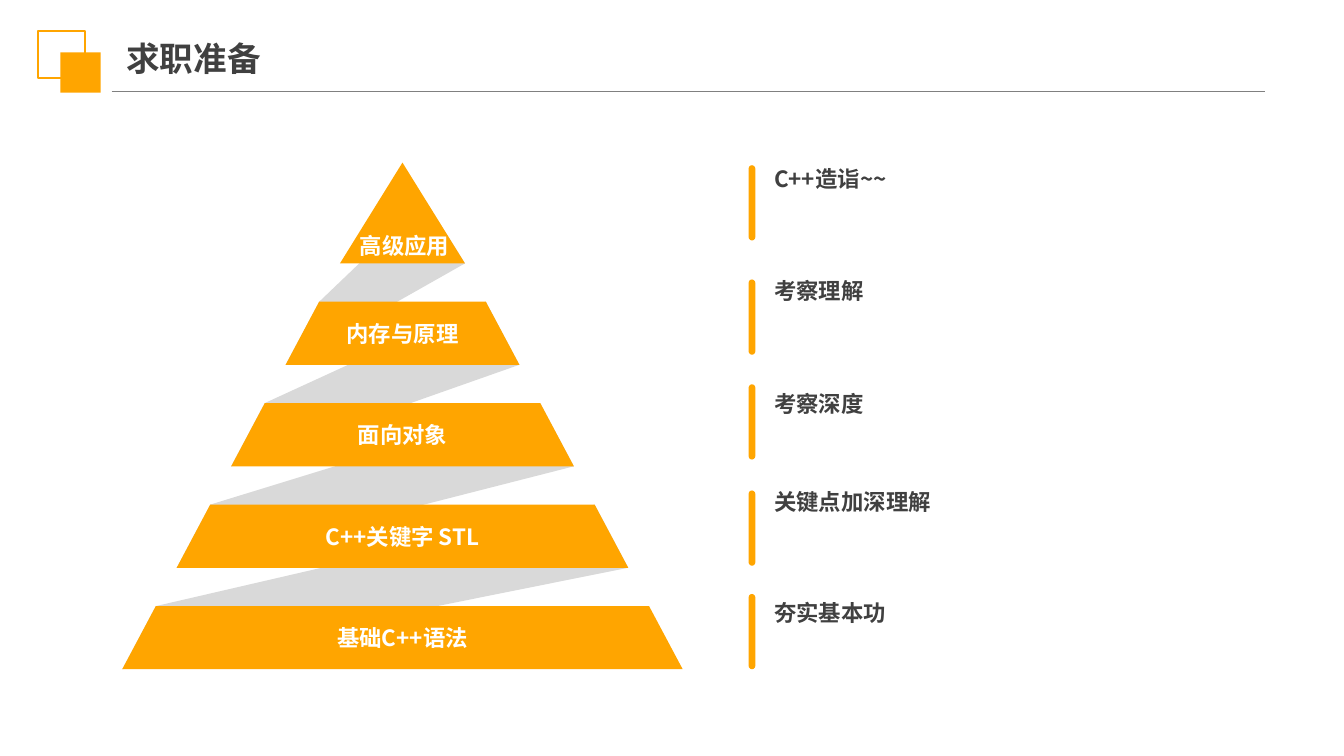
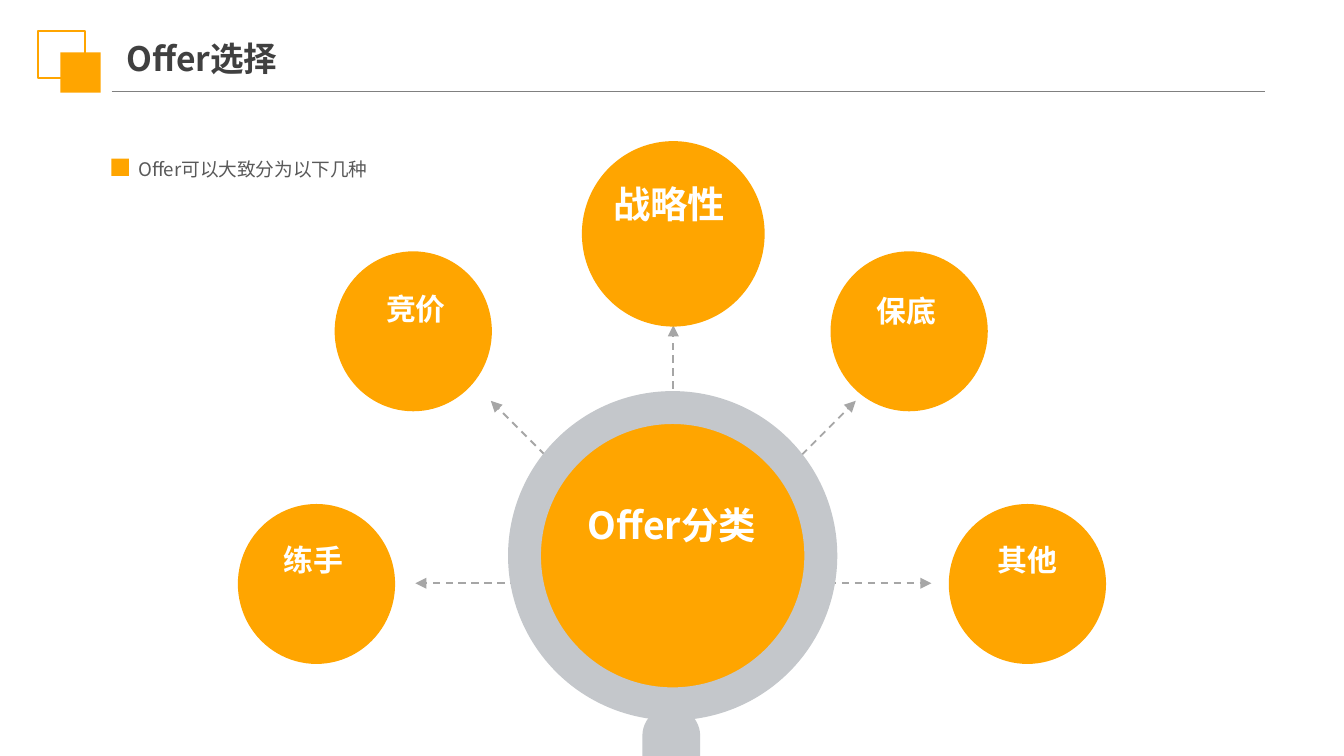
from math import cos, radians, sin

from lxml import etree
from pptx import Presentation
from pptx.dml.color import RGBColor
from pptx.enum.dml import MSO_LINE
from pptx.enum.shapes import MSO_CONNECTOR, MSO_SHAPE
from pptx.enum.text import MSO_ANCHOR, MSO_AUTO_SIZE, PP_ALIGN
from pptx.oxml.ns import qn
from pptx.util import Inches, Pt

ORANGE = RGBColor(0xFF, 0xA5, 0x00)
WHITE = RGBColor(0xFF, 0xFF, 0xFF)
INK = RGBColor(0x40, 0x40, 0x40)
BODY = RGBColor(0x59, 0x59, 0x59)
RULE = RGBColor(0x80, 0x80, 0x80)
ARROW = RGBColor(0xA6, 0xA6, 0xA6)
RIBBON = RGBColor(0xD9, 0xD9, 0xD9)
STEEL = RGBColor(0xC4, 0xC7, 0xCB)
FONT = "Noto Sans CJK SC"

RECTANGLE = MSO_SHAPE.RECTANGLE
ROUNDED = MSO_SHAPE.ROUNDED_RECTANGLE
BAR = MSO_SHAPE.ROUND_2_SAME_RECTANGLE
OVAL = MSO_SHAPE.OVAL
DONUT = MSO_SHAPE.DONUT
STRAIGHT = MSO_CONNECTOR.STRAIGHT
DASH = MSO_LINE.DASH
LEFT, CENTER, JUSTIFY = PP_ALIGN.LEFT, PP_ALIGN.CENTER, PP_ALIGN.JUSTIFY
TOP, MIDDLE = MSO_ANCHOR.TOP, MSO_ANCHOR.MIDDLE
FIT_SHAPE, FIXED = MSO_AUTO_SIZE.SHAPE_TO_FIT_TEXT, MSO_AUTO_SIZE.NONE

COLUMNS, ROWS = 100, 56.25
TITLE_BOX = (9.4, 2.2, 23.3, 4.2)

TIERS = ["高级应用", "内存与原理", "面向对象", "C++关键字 STL", "基础C++语法"]
PYRAMID_CENTER, APEX = 29.95, 12.1
FIRST_BASE, TIER_PITCH, TIER_HEIGHT = 19.6, 7.55, 4.7
FIRST_HALF, HALF_STEP, TIER_INSET = 4.65, 4.05, 2.5
NOTES = [
    ("C++造诣~~", 12.3, 12.1, 10.4),
    ("考察理解", 20.8, 20.4, 7.5),
    ("考察深度", 28.6, 28.8, 7.5),
    ("关键点加深理解", 36.5, 36.1, 12.5),
    ("夯实基本功", 44.2, 44.4, 9.2),
]

HUB, ARROW_LENGTH = (50.1, 43.4), 19.2
ARROW_ANGLES = [180, 0, 90, 135, 45]
SMALL, LARGE = (11.7, 11.9), (13.6, 13.8)
OFFERS = [
    ("练手", 17.7, 37.5, SMALL, 18.5, 39.7, 9.7, 16),
    ("竞价", 24.9, 18.7, SMALL, 26.1, 21, 9.7, 16),
    ("战略性", 43.3, 10.5, LARGE, 44.1, 12.9, 11.4, 20),
    ("保底", 61.8, 18.7, SMALL, 62.6, 21.2, 9.7, 16),
    ("其他", 70.6, 37.5, SMALL, 71.6, 39.7, 9.7, 16),
]


def grid(*cells):
    return [Inches(cell / 10) for cell in cells]


def paint(shape, fill=None, line=None):
    shape.shadow.inherit = False
    if fill is None:
        shape.fill.background()
    else:
        shape.fill.solid()
        shape.fill.fore_color.rgb = fill
    if line is None:
        shape.line.fill.background()
    else:
        shape.line.color.rgb = line
        shape.line.width = Pt(1)
    return shape


def add_preset(slide, kind, box, fill=None, line=None, adjust=()):
    shape = slide.shapes.add_shape(kind, *grid(*box))
    for index, value in enumerate(adjust):
        shape.adjustments[index] = value
    return paint(shape, fill, line)


def add_polygon(slide, points, fill):
    corners = [grid(*point) for point in points]
    builder = slide.shapes.build_freeform(*corners[0])
    builder.add_line_segments(corners[1:], close=True)
    return paint(builder.convert_to_shape(), fill)


def add_line(slide, start, end, color, width):
    connector = slide.shapes.add_connector(STRAIGHT, *grid(*start, *end))
    connector.line.color.rgb = color
    connector.line.width = Pt(width)
    etree.SubElement(connector.element.spPr, qn("a:effectLst"))
    return connector


def add_arrow(slide, start, end):
    connector = add_line(slide, start, end, ARROW, 1)
    connector.line.dash_style = DASH
    line = connector.element.spPr.find(qn("a:ln"))
    etree.SubElement(line, qn("a:tailEnd"), type="triangle")


def write(shape, text, size, color, bold=True, align=LEFT, anchor=TOP,
          margins=(0, 0), wrap=True, fit=FIXED, spacing=None):
    frame = shape.text_frame
    frame.word_wrap = wrap
    frame.auto_size = fit
    frame.vertical_anchor = anchor
    frame.margin_left = frame.margin_right = Inches(margins[0])
    frame.margin_top = frame.margin_bottom = Inches(margins[1])
    paragraph = frame.paragraphs[0]
    paragraph.alignment = align
    if spacing:
        paragraph.line_spacing = Pt(spacing)
    run = paragraph.add_run()
    run.text = text
    run.font.size = Pt(size)
    run.font.bold = bold
    run.font.color.rgb = color
    run.font.name = FONT
    properties = run.font._element
    etree.SubElement(properties, qn("a:ea"), typeface=FONT)


def add_text(slide, box, text, size, color, **style):
    write(slide.shapes.add_textbox(*grid(*box)), text, size, color, **style)


def place(shape, box):
    shape.left, shape.top, shape.width, shape.height = grid(*box)


def add_titled_slide(presentation, layout, title):
    slide = presentation.slides.add_slide(layout)
    place(slide.shapes.title, TITLE_BOX)
    write(slide.shapes.title, title, 18, INK, anchor=MIDDLE, margins=(0, 0.05))
    return slide


def add_band_to_layout(slide, layout):
    parts = [
        add_line(slide, (8.3, 6.8), (94.1, 6.8), RULE, 0.75),
        add_preset(slide, RECTANGLE, (2.8, 2.3, 3.5, 3.5), line=ORANGE),
        add_preset(slide, RECTANGLE, (4.5, 3.9, 3, 3), ORANGE),
    ]
    for number, part in enumerate(parts, 20):
        part.element.xpath(".//p:cNvPr")[0].set("id", str(number))
        layout.shapes.element.append(part.element)


def tier_corners(index):
    base = FIRST_BASE + index * TIER_PITCH
    half = FIRST_HALF + index * HALF_STEP
    top = base - TIER_HEIGHT
    top_half = half - TIER_INSET if index else 1.7
    return [
        (PYRAMID_CENTER - top_half, top),
        (PYRAMID_CENTER - half, base),
        (PYRAMID_CENTER + half, base),
        (PYRAMID_CENTER + top_half, top),
    ]


def add_pyramid(slide):
    tiers = [tier_corners(index) for index in range(len(TIERS))]
    for upper, lower in zip(tiers, tiers[1:]):
        add_polygon(slide, [upper[3], lower[0], lower[1], upper[2]], RIBBON)
    for index, (label, corners) in enumerate(zip(TIERS, tiers)):
        base = corners[1][1]
        if index == 0:
            corners = [(PYRAMID_CENTER, APEX), *corners[1:3]]
            box = (25.5, base - 3.3, 9.2, 3.9)
        else:
            width = corners[2][0] - corners[1][0] - 5.3
            box = (PYRAMID_CENTER - width / 2, base - 4.3, width, 3.9)
        add_polygon(slide, corners, ORANGE)
        add_text(slide, box, label, 12, WHITE, align=CENTER, anchor=MIDDLE)


def add_notes(slide):
    for text, bar_top, text_top, width in NOTES:
        add_preset(slide, BAR, (55.7, bar_top, 0.5, 5.6), ORANGE,
                   adjust=(0.5, 0.5))
        add_text(slide, (57.2, text_top, width, 2.4), text, 12, INK,
                 margins=(0.04, 0.02), wrap=False, fit=FIT_SHAPE)


def add_arrows(slide):
    for angle in ARROW_ANGLES:
        turn = radians(angle)
        tip = (HUB[0] + ARROW_LENGTH * cos(turn),
               HUB[1] - ARROW_LENGTH * sin(turn))
        add_arrow(slide, HUB, tip)


def add_magnifier(slide):
    add_preset(slide, OVAL, (39.7, 31.1, 20.5, 20.5), ORANGE)
    add_preset(slide, DONUT, (37.8, 29.1, 24.5, 24.5), STEEL, adjust=(0.1,))
    add_preset(slide, ROUNDED, (47.8, 52.6, 4.3, 8.8), STEEL, adjust=(0.5,))
    add_text(slide, (42, 36.9, 16, 4.4), "Offer分类", 20, WHITE,
             align=CENTER, margins=(0.1, 0.05), fit=FIT_SHAPE)


def add_offers(slide):
    for label, left, top, size, text_left, text_top, width, points in OFFERS:
        add_preset(slide, OVAL, (left, top, *size), ORANGE)
        height = 4.6 if points == 20 else 3.9
        add_text(slide, (text_left, text_top, width, height), label, points,
                 WHITE, align=CENTER, margins=(0.12, 0.06), fit=FIT_SHAPE)


def add_lead(slide):
    add_text(slide, (10.3, 11.6, 29.8, 1.7), "Offer可以大致分为以下几种", 10,
             BODY, bold=False, align=JUSTIFY, fit=FIT_SHAPE, spacing=13)
    add_preset(slide, RECTANGLE, (8.3, 11.8, 1.3, 1.3), ORANGE)


def main():
    presentation = Presentation()
    presentation.slide_width, presentation.slide_height = grid(COLUMNS, ROWS)
    layout = presentation.slide_layouts[5]
    place(layout.placeholders[0], TITLE_BOX)

    preparation = add_titled_slide(presentation, layout, "求职准备")
    add_band_to_layout(preparation, layout)
    add_pyramid(preparation)
    add_notes(preparation)

    choice = add_titled_slide(presentation, layout, "Offer选择")
    add_arrows(choice)
    add_magnifier(choice)
    add_offers(choice)
    add_lead(choice)

    presentation.save("out.pptx")


main()
